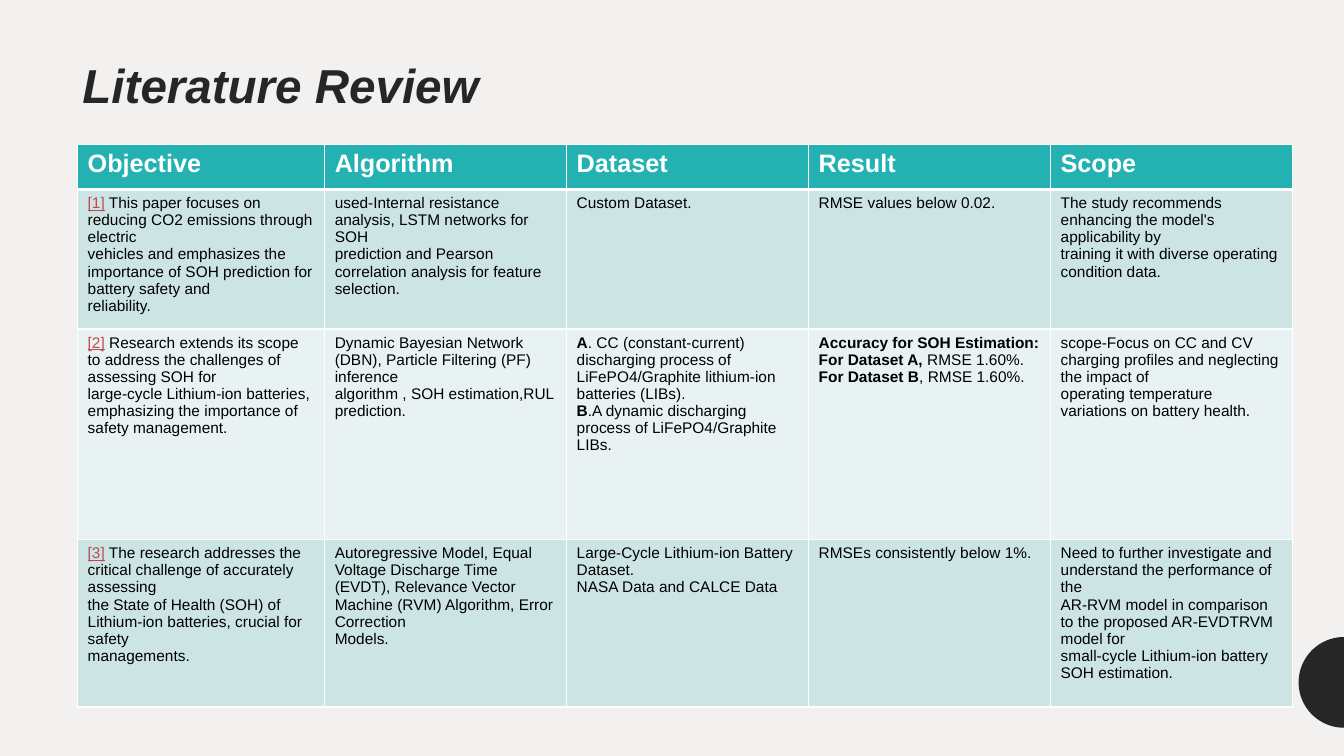
import math

import lxml.etree
import pptx
import pptx.dml.color
import pptx.enum.text
import pptx.oxml.ns
import pptx.util

Inches = pptx.util.Inches
Pt = pptx.util.Pt

DARK = "262626"
TEAL = "23B2B1"
BANDS = ["CDE4E4", "E8F2F2"]
COLUMN_WIDTHS = [2.45, 2.4, 2.4, 2.4, 2.4]
ROW_HEIGHTS = [0.45, 1.27, 2.09, 1.66]
HEADERS = ["Objective", "Algorithm", "Dataset", "Result", "Scope"]

# One list per study; each cell holds its paragraphs, and "|" ends an emphasised lead
STUDIES = [
    [
        ["[1]| This paper focuses on reducing CO2 emissions through electric",
         "vehicles and emphasizes the importance of SOH prediction for battery safety and",
         "reliability."],
        ["used-Internal resistance analysis, LSTM networks for SOH",
         "prediction and Pearson correlation analysis for feature selection."],
        ["Custom Dataset."],
        ["RMSE values below 0.02."],
        ["The study recommends enhancing the model's applicability by",
         "training it with diverse operating condition data."],
    ],
    [
        ["[2]| Research extends its scope to address the challenges of assessing SOH for",
         "large-cycle Lithium-ion batteries, emphasizing the importance of safety management."],
        ["Dynamic Bayesian Network (DBN), Particle Filtering (PF) inference",
         "algorithm , SOH estimation,RUL prediction."],
        ["A|. CC (constant-current) discharging process of LiFePO4/Graphite "
         "lithium-ion batteries (LIBs).",
         "B|.A dynamic discharging process of LiFePO4/Graphite LIBs."],
        ["Accuracy for SOH Estimation:|",
         "For Dataset A,| RMSE 1.60%.",
         "For Dataset B|, RMSE 1.60%."],
        ["scope-Focus on CC and CV charging profiles and neglecting the impact of",
         "operating temperature variations on battery health."],
    ],
    [
        ["[3]| The research addresses the critical challenge of accurately assessing",
         "the State of Health (SOH) of Lithium-ion batteries, crucial for safety",
         "managements."],
        ["Autoregressive Model, Equal Voltage Discharge Time",
         "(EVDT), Relevance Vector Machine (RVM) Algorithm, Error Correction",
         "Models."],
        ["Large-Cycle Lithium-ion Battery Dataset.",
         "NASA Data and CALCE Data"],
        ["RMSEs consistently below 1%."],
        ["Need to further investigate and understand the performance of the",
         "AR-RVM model in comparison to the proposed AR-EVDTRVM model for",
         "small-cycle Lithium-ion battery SOH estimation."],
    ],
]


def color(hex_string):
    return pptx.dml.color.RGBColor.from_string(hex_string)


class SlideBuilder:
    font_name = "Arial"
    reference_color = "C2494A"
    border_color = "FFFFFF"

    def __init__(self, slide, background):
        self.slide = slide
        slide.background.fill.solid()
        slide.background.fill.fore_color.rgb = color(background)

    def style(self, paragraph, size, text_color, bold=None, italic=None):
        font = paragraph.font
        font.name, font.size = self.font_name, Pt(size)
        font.bold, font.italic = bold, italic
        font.color.rgb = color(text_color)

    def half_disc(self, center_x, center_y, radius, fill, steps=48):
        angles = [math.pi * (0.5 + step / steps) for step in range(steps + 1)]
        points = [(Inches(center_x + radius * math.cos(angle)),
                   Inches(center_y + radius * math.sin(angle))) for angle in angles]
        builder = self.slide.shapes.build_freeform(*points[0])
        builder.add_line_segments(points[1:], close=True)
        shape = builder.convert_to_shape()
        shape.shadow.inherit = False
        shape.fill.solid()
        shape.fill.fore_color.rgb = color(fill)
        shape.line.fill.background()

    def title(self, text, left, top, width, height):
        box = self.slide.shapes.add_textbox(
            Inches(left), Inches(top), Inches(width), Inches(height))
        frame = box.text_frame
        frame.word_wrap = True
        frame.vertical_anchor = pptx.enum.text.MSO_ANCHOR.MIDDLE
        paragraph = frame.paragraphs[0]
        paragraph.text = text
        paragraph.line_spacing = 1.1
        paragraph.space_before = paragraph.space_after = Pt(4)
        self.style(paragraph, 34, DARK, bold=True, italic=True)

    def table(self, left, top, widths, heights):
        table = self.slide.shapes.add_table(
            len(heights), len(widths), Inches(left), Inches(top),
            Inches(sum(widths)), Inches(sum(heights))).table
        for column, width in zip(table.columns, widths):
            column.width = Inches(width)
        for row, height in zip(table.rows, heights):
            row.height = Inches(height)
        return table

    def cell(self, cell, lines, fill, size, text_color, bold=False, top=1, bottom=1):
        self.borders(cell, {"lnL": 1, "lnR": 1, "lnT": top, "lnB": bottom})
        cell.fill.solid()
        cell.fill.fore_color.rgb = color(fill)
        frame = cell.text_frame
        for index, line in enumerate(lines):
            paragraph = frame.add_paragraph() if index else frame.paragraphs[0]
            self.style(paragraph, size, text_color, bold=bold)
            lead, mark, rest = line.partition("|")
            run = paragraph.add_run()
            run.text = lead
            if mark and lead.startswith("["):
                run.font.underline = True
                run.font.color.rgb = color(self.reference_color)
            elif mark:
                run.font.bold = True
            if rest:
                paragraph.add_run().text = rest

    def borders(self, cell, widths):
        qn = pptx.oxml.ns.qn
        properties = cell._tc.get_or_add_tcPr()
        for side, width in widths.items():
            line = lxml.etree.SubElement(properties, qn("a:" + side), w=str(Pt(width)))
            fill = lxml.etree.SubElement(line, qn("a:solidFill"))
            lxml.etree.SubElement(fill, qn("a:srgbClr"), val=self.border_color)


def main():
    presentation = pptx.Presentation()
    presentation.slide_width = Inches(13.33)
    presentation.slide_height = Inches(7.5)
    slide = presentation.slides.add_slide(presentation.slide_layouts[6])
    builder = SlideBuilder(slide, "F3F0F0")

    # Edge decoration and title
    builder.half_disc(13.33, 6.77, 0.45, DARK)
    builder.title("Literature Review", 0.72, 0.36, 11.67, 0.9)

    # Header row
    table = builder.table(0.77, 1.43, COLUMN_WIDTHS, ROW_HEIGHTS)
    for column, header in enumerate(HEADERS):
        builder.cell(table.cell(0, column), [header], TEAL, 18, "FFFFFF",
                     bold=True, bottom=3)

    # Study rows in alternating bands
    for row, study in enumerate(STUDIES, start=1):
        for column, lines in enumerate(study):
            builder.cell(table.cell(row, column), lines, BANDS[(row - 1) % 2], 11,
                         "000000", top=3 if row == 1 else 1)

    presentation.save("out.pptx")


if __name__ == "__main__":
    main()
